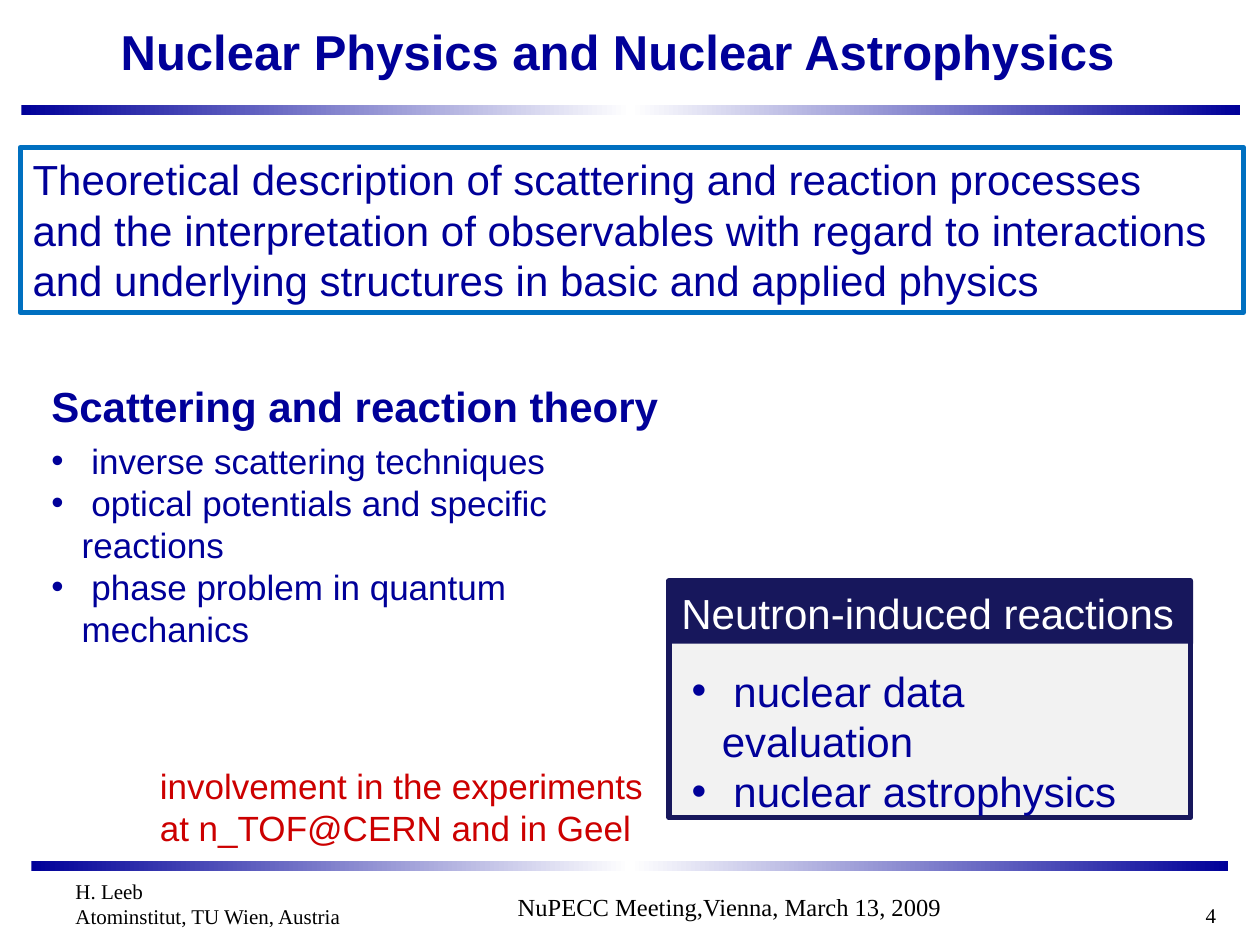
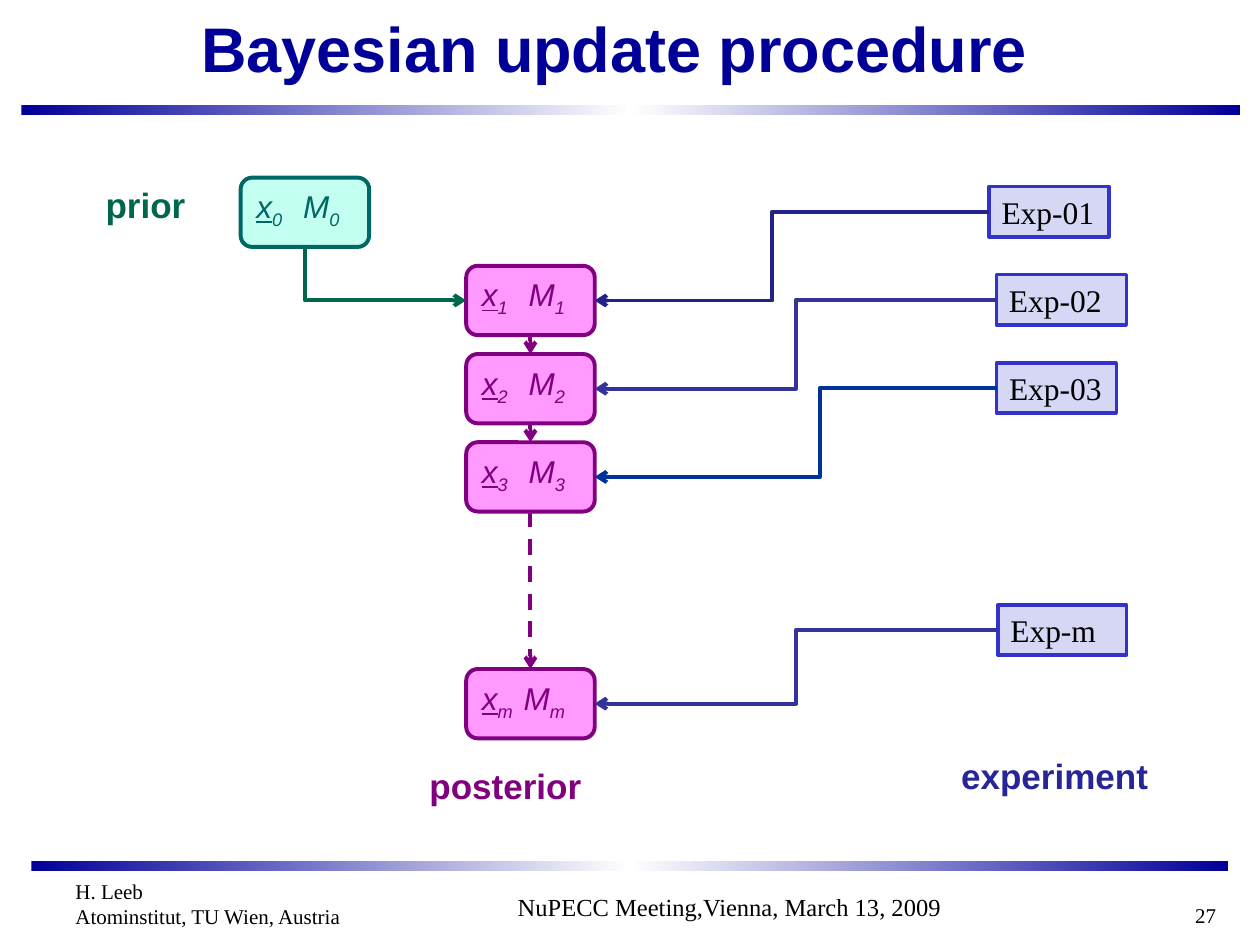
from copy import deepcopy

from lxml import etree
from pptx import Presentation
from pptx.dml.color import RGBColor
from pptx.enum import dml, shapes, text
from pptx.oxml import ns
from pptx.util import Inches, Pt

COLORS = {
    "navy": "000099", "white": "FFFFFF", "black": "000000", "red": "CC0000",
    "frame": "0070C0", "panel": "F2F2F2", "header": "17175C",
    "prior": "00664D", "prior_box": "C2FFF0", "prior_line": "006666",
    "state": "800080", "state_box": "FF99FF",
    "experiment": "262699", "exp_box": "D6D6F5", "exp_line": "3333CC",
    "link_1": "22228B", "link_2": "333399", "link_3": "003399",
}
SANS, SERIF = "Arial", "Times New Roman"
LEFT, CENTER, RIGHT = text.PP_ALIGN.LEFT, text.PP_ALIGN.CENTER, text.PP_ALIGN.RIGHT
TOP_SIDE, LEFT_SIDE, BOTTOM_SIDE, RIGHT_SIDE = range(4)
STATE_SIZE = (1.02, 0.55)
STEP = 0.7


def rgb(name):
    return RGBColor.from_string(COLORS[name])


def lengths(values):
    return [Inches(value) for value in values]


def child(parent, tag, **attributes):
    return etree.SubElement(parent, ns.qn(tag), attributes)


def add_span(para, words, size=18, font=SANS, color="black", bold=False,
             italic=False, underline=False, baseline=0):
    span = para.add_run()
    span.text = words
    span.font.size = Pt(size)
    span.font.name = font
    span.font.color.rgb = rgb(color)
    span.font.bold = bold
    span.font.italic = italic
    span.font.underline = underline
    if baseline:
        span.font._element.set("baseline", str(baseline * 1000))


def add_bullet(para):
    props = para._p.get_or_add_pPr()
    props.set("marL", str(Inches(0.24)))
    props.set("indent", str(-Inches(0.24)))
    child(props, "a:buFont", typeface=SANS)
    child(props, "a:buChar", char="•")


def write(box, lines, align=LEFT, wrap=True, anchor=text.MSO_ANCHOR.TOP,
          bullets=False, **style):
    frame = box.text_frame
    frame.word_wrap = wrap
    frame.vertical_anchor = anchor
    for index, line in enumerate(lines.split("\n")):
        para = frame.add_paragraph() if index else frame.paragraphs[0]
        para.alignment = align
        if bullets:
            add_bullet(para)
        add_span(para, line, **style)


def add_text(page, at, lines, **style):
    box = page.shapes.add_textbox(*lengths(at))
    write(box, lines, **style)
    return box


def add_box(page, at, fill=None, line=None, width=2,
            kind=shapes.MSO_SHAPE.RECTANGLE):
    box = page.shapes.add_shape(kind, *lengths(at))
    box.shadow.inherit = False
    if fill:
        box.fill.solid()
        box.fill.fore_color.rgb = rgb(fill)
    else:
        box.fill.background()
    if line:
        box.line.color.rgb = rgb(line)
        box.line.width = Pt(width)
    else:
        box.line.fill.background()
    return box


def add_band(page, at):
    band = add_box(page, at)
    band.fill.gradient()
    band.fill.gradient_angle = 0
    first, last = band.fill.gradient_stops
    for stop, position in ((first, 0), (last, 1)):
        stop.color.rgb = rgb("navy")
        stop.position = position
    stops = band._element.spPr.find(".//" + ns.qn("a:gsLst"))
    stops.insert(1, deepcopy(stops[0]))
    middle = band.fill.gradient_stops[1]
    middle.color.rgb = rgb("white")
    middle.position = 0.5


def add_frame(deck, title, at, size, align, number):
    page = deck.slides.add_slide(deck.slide_layouts[6])
    add_band(page, (0.17, 0.83, 9.67, 0.08))
    add_band(page, (0.25, 6.83, 9.5, 0.08))
    add_text(page, at, title, size=size, align=align, color="navy", bold=True,
             anchor=text.MSO_ANCHOR.MIDDLE)
    add_text(page, (0.5, 6.92, 2.42, 0.5),
             "H. Leeb\nAtominstitut, TU Wien, Austria", size=12, font=SERIF)
    add_text(page, (3, 7.03, 5.58, 0.31), "NuPECC Meeting,Vienna, March 13, 2009",
             size=14, font=SERIF, align=CENTER)
    add_text(page, (8.92, 7.11, 0.83, 0.31), str(number), size=12, font=SERIF,
             align=RIGHT)
    return page


def add_state(page, left, top, index, fill, color, tab=0.37):
    box = add_box(page, (left, top, *STATE_SIZE), fill, color, 2.25,
                  shapes.MSO_SHAPE.ROUNDED_RECTANGLE)
    box.text_frame.vertical_anchor = text.MSO_ANCHOR.TOP
    para = box.text_frame.paragraphs[0]
    para.alignment = LEFT
    tabs = child(para._p.get_or_add_pPr(), "a:tabLst")
    child(tabs, "a:tab", pos=str(Inches(tab)), algn="l")
    style = {"color": color, "italic": True}
    add_span(para, "x", underline=True, **style)
    add_span(para, index + "\t", baseline=-25, **style)
    add_span(para, "M", **style)
    add_span(para, index, baseline=-25, **style)
    return box


def add_experiment(page, at, name):
    box = add_box(page, at, "exp_box", "exp_line")
    write(box, name, font=SERIF, wrap=at[2] > 1)
    return box


def link(page, start, start_side, end, end_side, color, bend=None,
         preset=None, arrow="a:tailEnd", dashed=False):
    kind = shapes.MSO_CONNECTOR.ELBOW if bend or preset else shapes.MSO_CONNECTOR.STRAIGHT
    line = page.shapes.add_connector(kind, 0, 0, 0, 0)
    line.begin_connect(start, start_side)
    line.end_connect(end, end_side)
    line.line.color.rgb = rgb(color)
    line.line.width = Pt(2.25)
    if dashed:
        line.line.dash_style = dml.MSO_LINE.DASH
    props = line._element.spPr
    child(props.find(ns.qn("a:ln")), arrow, type="arrow")
    child(props, "a:effectLst")
    geometry = props.find(ns.qn("a:prstGeom"))
    if preset:
        geometry.set("prst", preset)
    if bend:
        child(geometry.find(ns.qn("a:avLst")), "a:gd", name="adj1",
              fmla=f"val {round(bend * 100000)}")


def build_overview(deck):
    page = add_frame(deck, "Nuclear Physics and Nuclear Astrophysics",
                     (0.86, 0.03, 8.45, 0.75), 28, LEFT, 4)
    add_box(page, (5.31, 4.61, 4.14, 1.88), "panel", "header", 3)
    summary = add_box(page, (0.16, 1.17, 9.71, 1.31), line="frame", width=3)
    write(summary, "Theoretical description of scattering and reaction processes\n"
          "and the interpretation of observables with regard to interactions\n"
          "and underlying structures in basic and applied physics",
          size=24, color="navy", wrap=False)
    header = add_box(page, (5.31, 4.61, 4.16, 0.5), "header")
    write(header, "Neutron-induced reactions", size=24, color="white", wrap=False)
    add_text(page, (0.31, 2.97, 5.06, 0.5), "Scattering and reaction theory",
             size=24, color="navy", bold=True, wrap=False)
    add_text(page, (5.39, 5.23, 3.9, 1.31),
             " nuclear data evaluation\n nuclear astrophysics",
             size=24, color="navy", bullets=True)
    add_text(page, (0.31, 3.44, 5, 1.78),
             " inverse scattering techniques\n"
             " optical potentials and specific reactions\n"
             " phase problem in quantum mechanics",
             size=20, color="navy", bullets=True)
    add_text(page, (1.17, 6.02, 4.08, 0.77),
             "involvement in the experiments\nat n_TOF@CERN and in Geel",
             size=20, color="red", wrap=False)


def build_bayes(deck):
    page = add_frame(deck, "Bayesian update procedure", (1, 0, 7.75, 0.75),
                     36, CENTER, 27)
    prior = add_state(page, 1.91, 1.41, "0", "prior_box", "prior_line")
    states = [add_state(page, 3.7, 2.11 + STEP * row, str(row + 1),
                        "state_box", "state") for row in range(3)]
    states.append(add_state(page, 3.7, 5.31, "m", "state_box", "state", tab=0.33))

    experiments = [
        ("Exp-01", (7.85, 1.48, 0.95, 0.4), "link_1", 0.55),
        ("Exp-02", (7.91, 1.48 + STEP, 1.03, 0.4), "link_2", 0.5),
        ("Exp-03", (7.91, 1.48 + 2 * STEP, 0.95, 0.4), "link_3", 0.44),
        ("Exp-m", (7.92, 4.8, 1.02, 0.4), "link_2", 0.5),
    ]
    for state, (name, at, color, bend) in zip(states, experiments):
        experiment = add_experiment(page, at, name)
        link(page, experiment, LEFT_SIDE, state, RIGHT_SIDE, color, bend=bend)

    link(page, states[0], LEFT_SIDE, prior, BOTTOM_SIDE, "prior",
         preset="bentConnector2", arrow="a:headEnd")
    for upper, lower in zip(states, states[1:]):
        link(page, upper, BOTTOM_SIDE, lower, TOP_SIDE, "state",
             dashed=lower is states[-1])

    for label, at, color in (
        ("prior", (0.74, 1.41, 0.84, 0.44), "prior"),
        ("experiment", (7.53, 5.94, 1.7, 0.44), "experiment"),
        ("posterior", (3.31, 6.02, 1.42, 0.44), "state"),
    ):
        add_text(page, at, label, size=20, color=color, bold=True, wrap=False)


def main():
    deck = Presentation()
    deck.slide_width, deck.slide_height = Inches(10), Inches(7.5)
    build_overview(deck)
    build_bayes(deck)
    deck.save("out.pptx")


if __name__ == "__main__":
    main()
